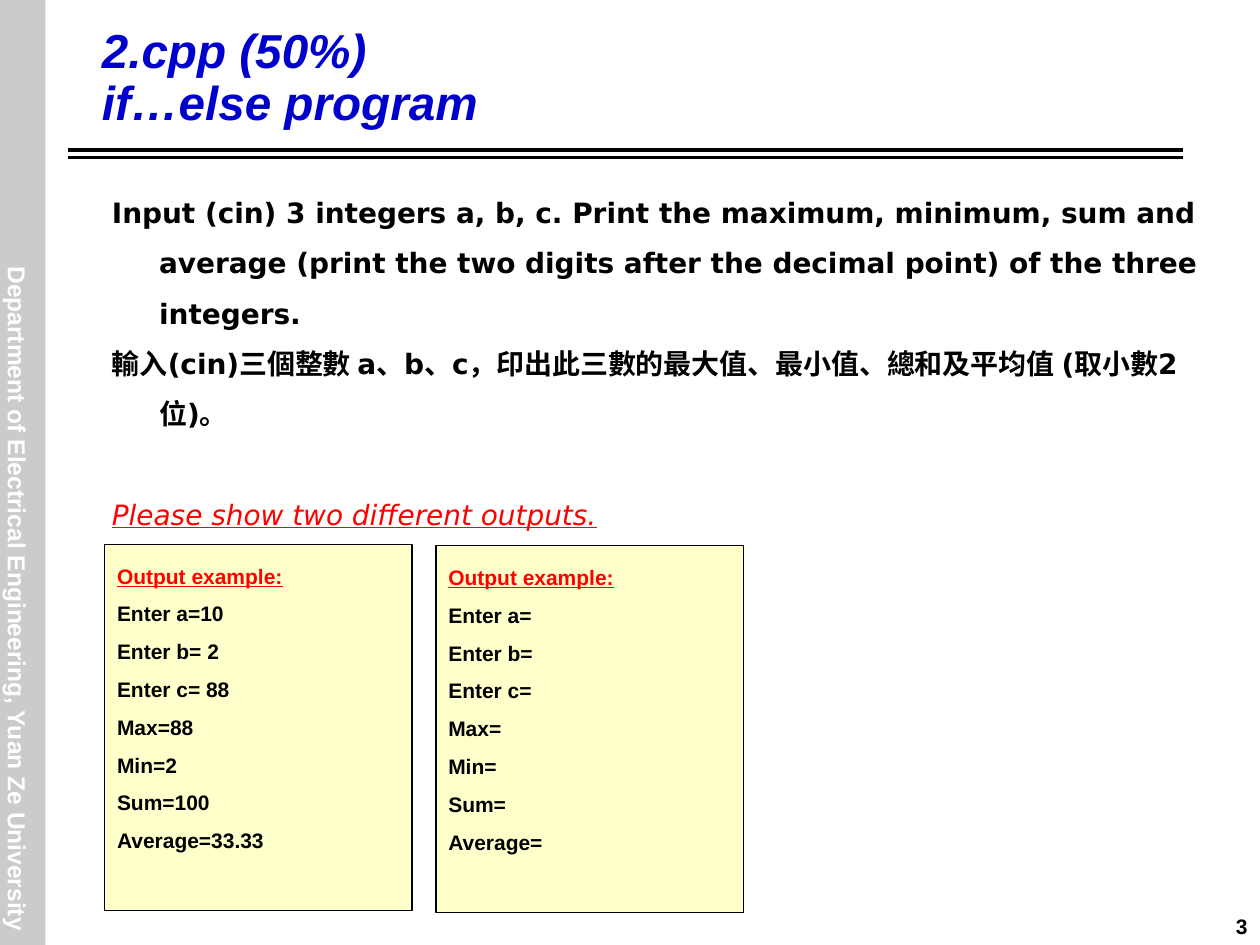
from lxml.etree import SubElement
from pptx import Presentation
from pptx.dml.color import RGBColor
from pptx.enum.shapes import MSO_CONNECTOR as Connector, MSO_SHAPE as Shape
from pptx.enum.text import MSO_ANCHOR as Anchor, MSO_AUTO_SIZE as AutoSize, PP_ALIGN as Align
from pptx.oxml.ns import qn
from pptx.util import Pt

# Content
TITLE = ["2.cpp (50%)", "if…else program"]
DEPARTMENT = "Department of Electrical Engineering, Yuan Ze University"
PAGE_NUMBER = "3"
TASK = [
    "Input (cin) 3 integers a, b, c. Print the maximum, minimum, sum and average "
    "(print the two digits after the decimal point) of the three integers.",
    "輸入(cin)三個整數 a、b、c，印出此三數的最大值、最小值、總和及平均值 (取小數2位)。",
]
REQUEST = "Please show two different outputs."
OUTPUT_HEADING = "Output example:"
OUTPUT_LABELS = ["Enter a=", "Enter b=", "Enter c=", "Max=", "Min=", "Sum=", "Average="]
# Left, top and the values after the labels
OUTPUTS = [
    (59.8, 311, ["10", " 2", " 88", "88", "2", "100", "33.33"]),
    (249.1, 311.8, [""] * len(OUTPUT_LABELS)),
]
BLACK, RED, WHITE = "000000", "FF0000", "FFFFFF"


def color(value):
    return RGBColor.from_string(value)


def add_paragraph(frame, text, size, ink, name="Arial", bold=True, italic=False,
                  underline=False, align=Align.LEFT, spacing=1.0, hanging=False):
    """Fill the empty first paragraph of the frame, or append a new one."""
    paragraph = frame.paragraphs[0] if not frame.text else frame.add_paragraph()
    paragraph.text = text
    paragraph.alignment = align
    paragraph.line_spacing = spacing
    paragraph.space_before = Pt(0)
    if hanging:
        properties = paragraph._p.get_or_add_pPr()
        properties.set("marL", str(Pt(27)))
        properties.set("indent", str(Pt(-27)))
    font = paragraph.font
    font.name, font.size, font.color.rgb = name, Pt(size), color(ink)
    font.bold, font.italic, font.underline = bold, italic, underline
    return paragraph


def add_text_box(slide, left, top, width, height, wrap=True):
    box = slide.shapes.add_textbox(Pt(left), Pt(top), Pt(width), Pt(height))
    box.text_frame.word_wrap = wrap
    return box


def add_box(slide, left, top, width, height, fill):
    box = slide.shapes.add_shape(Shape.RECTANGLE, Pt(left), Pt(top), Pt(width), Pt(height))
    box.shadow.inherit = False
    box.fill.solid()
    box.fill.fore_color.rgb = color(fill)
    return box


presentation = Presentation()
presentation.slide_width, presentation.slide_height = Pt(720), Pt(540)
slide = presentation.slides.add_slide(presentation.slide_layouts[5])

# Side bar with the department name
side_bar = add_box(slide, 0, 0, 26, 540, "CBCBCB")
side_bar.line.fill.background()
department = add_text_box(slide, -187.2, 329.8, 398.9, 24.5, wrap=False)
department.rotation = 90
department.text_frame.margin_top = Pt(6)
add_paragraph(department.text_frame, DEPARTMENT, 14, WHITE, align=Align.CENTER)

# Double rule under the title
for y in (85.7, 90):
    rule = slide.shapes.add_connector(Connector.STRAIGHT, Pt(38.9), Pt(y), Pt(676), Pt(y))
    rule.line.color.rgb = color(BLACK)
    rule.line.width = Pt(2.25)
    SubElement(rule._element.spPr, qn("a:effectLst"))

# Title
title = slide.shapes.title
title.left, title.top, title.width, title.height = Pt(51), Pt(12.2), Pt(612), Pt(77.8)
title.text_frame.vertical_anchor = Anchor.TOP
title.text_frame.auto_size = AutoSize.NONE
for line in TITLE:
    add_paragraph(title.text_frame, line, 27.2, "0000CC", italic=True, spacing=0.9)

# Task description
task = add_text_box(slide, 56.9, 98.6, 640.8, 266.4).text_frame
body = dict(name="DejaVu Sans", spacing=1.5, hanging=True)
for line in TASK:
    add_paragraph(task, line, 16, BLACK, **body)
request = add_paragraph(task, REQUEST, 16, RED, bold=False, italic=True,
                        underline=True, **body)
request.space_before = Pt(29)

# Output examples
for left, top, values in OUTPUTS:
    output = add_box(slide, left, top, 175.7, 209.5, "FFFFCC")
    output.line.color.rgb = color(BLACK)
    output.line.width = Pt(0.75)
    frame = output.text_frame
    frame.word_wrap = True
    frame.vertical_anchor = Anchor.TOP
    add_paragraph(frame, OUTPUT_HEADING, 12, RED, underline=True, spacing=1.5, hanging=True)
    for label, value in zip(OUTPUT_LABELS, values):
        add_paragraph(frame, label + value, 12, BLACK, spacing=1.5, hanging=True)

# Page number
page = add_text_box(slide, 598.3, 511.2, 121.7, 36, wrap=False).text_frame
page.vertical_anchor = Anchor.MIDDLE
add_paragraph(page, PAGE_NUMBER, 12, BLACK, align=Align.RIGHT)

presentation.save("out.pptx")
